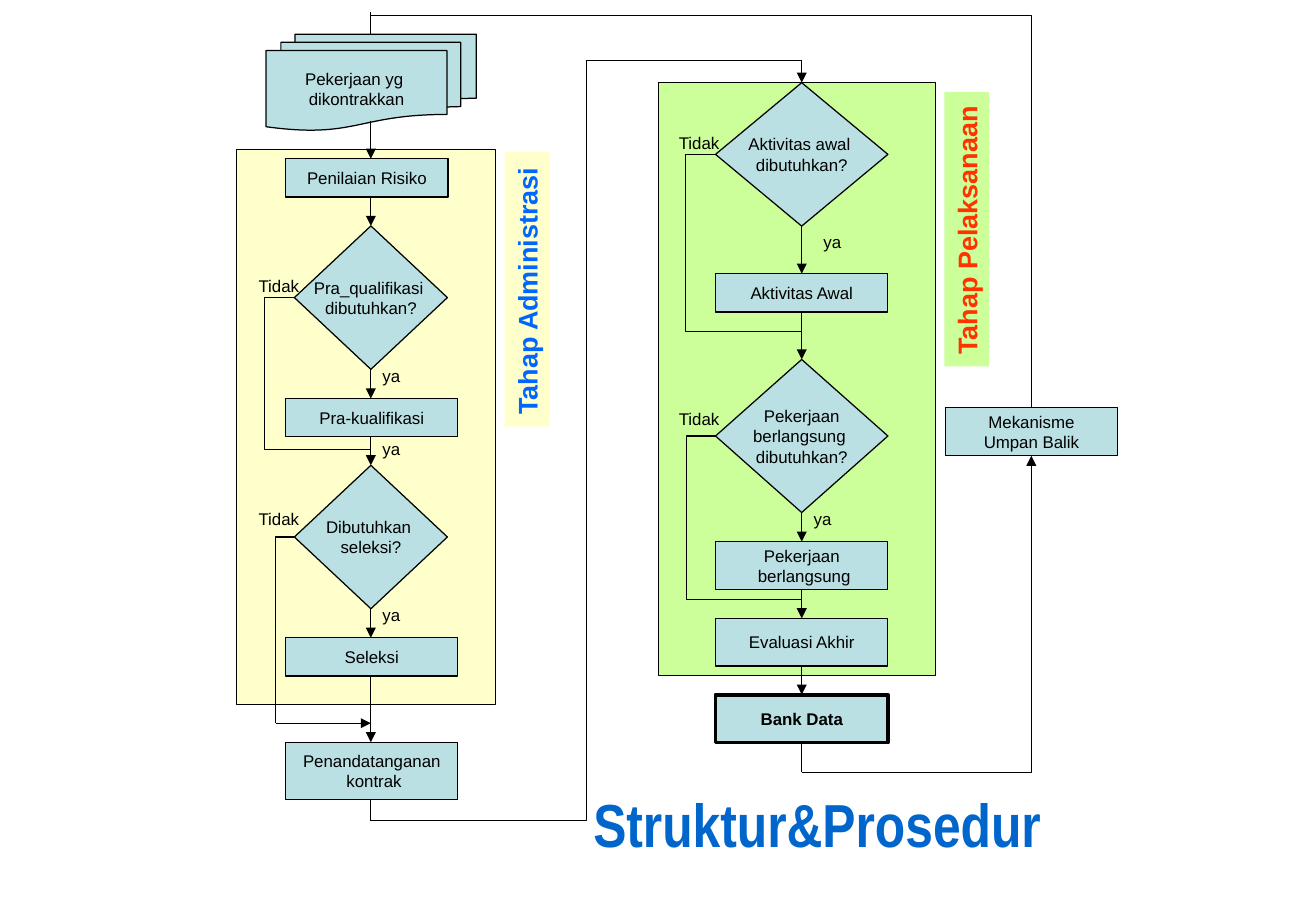
from dataclasses import dataclass

from pptx import Presentation
from pptx.dml.color import RGBColor
from pptx.enum.shapes import MSO_CONNECTOR, MSO_SHAPE
from pptx.enum.text import MSO_ANCHOR, MSO_AUTO_SIZE, PP_ALIGN
from pptx.oxml.ns import qn
from pptx.util import Pt
from lxml.etree import SubElement


@dataclass(frozen=True)
class Theme:
    font: str = "Arial"
    title_font: str = "Arial Narrow"
    black: str = "000000"
    step: str = "BBE0E3"
    administration: str = "FFFFCC"
    execution: str = "CCFF99"
    administration_text: str = "0066FF"
    execution_text: str = "FF3300"
    title: str = "0066CC"
    body_size: float = 10
    phase_size: float = 16
    title_size: float = 36
    line: float = 0.75
    heavy_line: float = 2.25


THEME = Theme()
TITLE = "Struktur&Prosedur"
TITLE_PLACE = (324.5, 463, 320, 49)
RECT, DIAMOND = MSO_SHAPE.RECTANGLE, MSO_SHAPE.DIAMOND

# Phase panels: left, top, width, height, fill
PANELS = [
    (390.2, 49, 164.2, 351.4, THEME.execution),
    (140.4, 88.6, 153.4, 329, THEME.administration),
]
# Phase captions: text, centre x, centre y, fill, text colour
PHASES = [
    ("Tahap Administrasi", 312.5, 171.5, THEME.administration, THEME.administration_text),
    ("Tahap Pelaksanaan", 573.1, 135.8, THEME.execution, THEME.execution_text),
]
PHASE_LENGTH, PHASE_HEIGHT = 162.7, 26.6

# Steps: text, shape, left, top, width, height
DOCUMENT = ("Pekerjaan yg \ndikontrakkan", MSO_SHAPE.FLOWCHART_MULTIDOCUMENT,
            157.7, 20.3, 124.6, 57)
FEEDBACK = ("Mekanisme\nUmpan Balik", RECT, 560.2, 241.8, 102.2, 28.4)
BANK = ("Bank Data", RECT, 424.1, 411.8, 102.2, 28.4)
ADMINISTRATION = [
    ("Penilaian Risiko", RECT, 169.2, 94.1, 96.4, 22.8),
    ("Pra_qualifikasi \ndibutuhkan?", DIAMOND, 174.5, 133.9, 90.7, 85),
    ("Pra-kualifikasi", RECT, 169.2, 236.2, 102.2, 22.8),
    ("Dibutuhkan \nseleksi?", DIAMOND, 174.5, 275.8, 90.7, 85),
    ("Seleksi", RECT, 169.2, 378, 102.2, 22.8),
    ("Penandatanganan\n kontrak", RECT, 169.2, 440, 102.2, 34),
]
EXECUTION = [
    ("Aktivitas awal \ndibutuhkan?", DIAMOND, 424.1, 49, 102.2, 85),
    ("Aktivitas Awal", RECT, 424.1, 162.2, 102.2, 22.8),
    ("Pekerjaan\nberlangsung \ndibutuhkan?", DIAMOND, 424.1, 213.1, 102.2, 90.7),
    ("Pekerjaan\n berlangsung", RECT, 424.1, 321.1, 102.2, 28.4),
    ("Evaluasi Akhir", RECT, 424.1, 366.5, 102.2, 28.4),
    BANK,
]
LEFT_AXIS, RIGHT_AXIS, FEEDBACK_AXIS = 219.8, 475.2, 611.3

# Straight lines: start, end, arrow
LINES = [
    ((LEFT_AXIS, 7.2), (LEFT_AXIS, 20.3), False),
    ((LEFT_AXIS, 71.5), (LEFT_AXIS, 94.1), True),
    ((LEFT_AXIS, 474), (LEFT_AXIS, 486.5), False),
    ((163.4, 428.7), (LEFT_AXIS, 428.7), True),
    ((RIGHT_AXIS, 36), (RIGHT_AXIS, 49), True),
    ((RIGHT_AXIS, 440.2), (RIGHT_AXIS, 457.8), False),
]
# Routes that run across and then up or down: start, end, arrow
CORNERS = [
    ((174.5, 318.3), (163.4, 428.7), False),
    ((LEFT_AXIS, 9.2), (FEEDBACK_AXIS, 241.8), False),
    ((RIGHT_AXIS, 457.8), (FEEDBACK_AXIS, 270.2), True),
]
# Routes across, up or down, and across again: start, end, x of the middle part
DETOURS = [
    ((174.5, 176.4), (LEFT_AXIS, 266.5), 156.6),
    ((424.1, 91.5), (RIGHT_AXIS, 196.7), 406.1),
    ((424.1, 258.5), (RIGHT_AXIS, 355.5), 406.8),
    ((LEFT_AXIS, 486.5), (RIGHT_AXIS, 36), 347.5),
]
# Answers: width, then the left and top of each place
ANSWERS = {
    "Tidak": (45.4, [(146.2, 159.8), (146.2, 298.1), (395.3, 74.9), (395.3, 239)]),
    "ya": (28.1, [(219.6, 213.1), (219.6, 256.3), (219.6, 355),
                  (481, 133.9), (475.2, 298.1)]),
}
ANSWER_HEIGHT = 19.4


def write(shape, text, size, color, font=THEME.font, bold=False,
          align=PP_ALIGN.CENTER, anchor=MSO_ANCHOR.MIDDLE, wrap=False):
    frame = shape.text_frame
    frame.text = text
    frame.word_wrap = wrap
    frame.auto_size = MSO_AUTO_SIZE.NONE
    frame.vertical_anchor = anchor
    for paragraph in frame.paragraphs:
        paragraph.alignment = align
        paragraph.font.name = font
        paragraph.font.size = Pt(size)
        paragraph.font.bold = bold
        paragraph.font.color.rgb = RGBColor.from_string(color)


def add_box(slide, kind, left, top, width, height, fill, line=THEME.line):
    shape = slide.shapes.add_shape(kind, Pt(left), Pt(top), Pt(width), Pt(height))
    shape.shadow.inherit = False
    shape.fill.solid()
    shape.fill.fore_color.rgb = RGBColor.from_string(fill)
    if line:
        shape.line.color.rgb = RGBColor.from_string(THEME.black)
        shape.line.width = Pt(line)
    else:
        shape.line.fill.background()
    return shape


def add_step(slide, step):
    text, *place = step
    final = step is BANK
    shape = add_box(slide, *place, THEME.step, THEME.heavy_line if final else THEME.line)
    write(shape, text, THEME.body_size, THEME.black, bold=final)


def add_link(slide, start, end, arrow=False, kind=MSO_CONNECTOR.STRAIGHT):
    """Draw a connector and return its geometry element."""
    connector = slide.shapes.add_connector(kind, *map(Pt, start + end))
    connector.line.color.rgb = RGBColor.from_string(THEME.black)
    connector.line.width = Pt(THEME.line)
    properties = connector._element.spPr
    if arrow:
        SubElement(properties.find(qn("a:ln")), qn("a:tailEnd"), type="triangle")
    SubElement(properties, qn("a:effectLst"))
    return properties.find(qn("a:prstGeom"))


def add_detour(slide, start, end, middle):
    """Set the elbow's bend as a share of its width; it may lie outside the ends."""
    geometry = add_link(slide, start, end, kind=MSO_CONNECTOR.ELBOW)
    share = round((middle - start[0]) / (end[0] - start[0]) * 100000)
    adjustments = geometry.get_or_add_avLst()
    SubElement(adjustments, qn("a:gd"), name="adj1", fmla=f"val {share}")


def add_chain(slide, steps, axis):
    for step in steps:
        add_step(slide, step)
    for upper, lower in zip(steps, steps[1:]):
        add_link(slide, (axis, upper[3] + upper[5]), (axis, lower[3]), arrow=True)


def add_title(slide):
    title = slide.shapes.title
    title.left, title.top, title.width, title.height = map(Pt, TITLE_PLACE)
    write(title, TITLE, THEME.title_size, THEME.title, THEME.title_font,
          bold=True, anchor=MSO_ANCHOR.TOP)


def main():
    presentation = Presentation()
    presentation.slide_width, presentation.slide_height = Pt(780), Pt(540)
    slide = presentation.slides.add_slide(presentation.slide_layouts[5])
    add_title(slide)
    for *place, fill in PANELS:
        add_box(slide, RECT, *place, fill)
    for step in (DOCUMENT, FEEDBACK):
        add_step(slide, step)
    add_chain(slide, ADMINISTRATION, LEFT_AXIS)
    add_chain(slide, EXECUTION, RIGHT_AXIS)
    for line in LINES:
        add_link(slide, *line)
    for corner in CORNERS:
        add_link(slide, *corner, kind=MSO_CONNECTOR.ELBOW).set("prst", "bentConnector2")
    for detour in DETOURS:
        add_detour(slide, *detour)
    for text, (width, places) in ANSWERS.items():
        for left, top in places:
            box = slide.shapes.add_textbox(Pt(left), Pt(top), Pt(width), Pt(ANSWER_HEIGHT))
            write(box, text, THEME.body_size, THEME.black, align=PP_ALIGN.LEFT,
                  anchor=MSO_ANCHOR.TOP, wrap=True)
    for text, x, y, fill, color in PHASES:
        caption = add_box(slide, RECT, x - PHASE_LENGTH / 2, y - PHASE_HEIGHT / 2,
                          PHASE_LENGTH, PHASE_HEIGHT, fill, line=None)
        caption.rotation = 270
        write(caption, text, THEME.phase_size, color, bold=True,
              align=PP_ALIGN.LEFT, anchor=MSO_ANCHOR.TOP)
    presentation.save("out.pptx")


if __name__ == "__main__":
    main()
